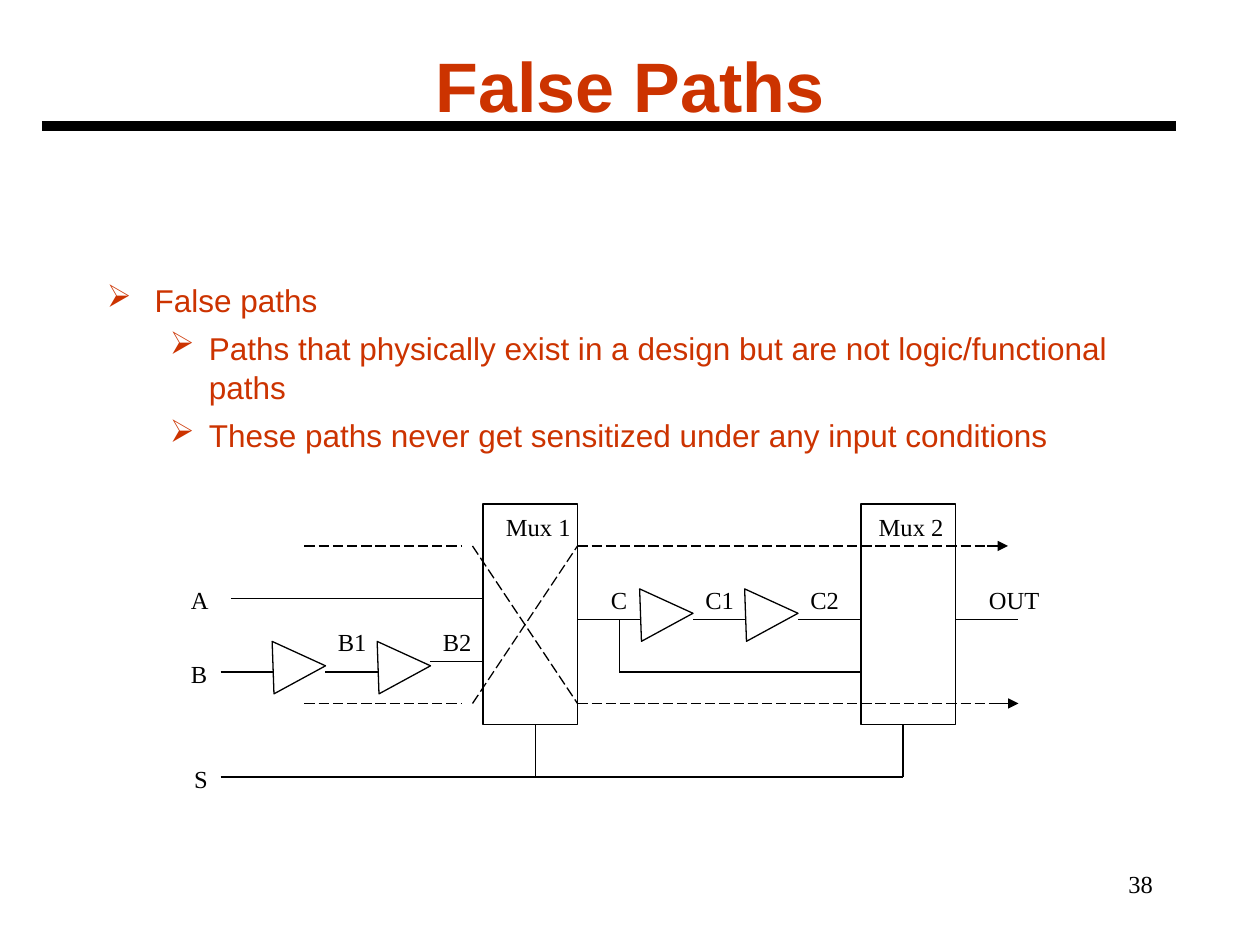
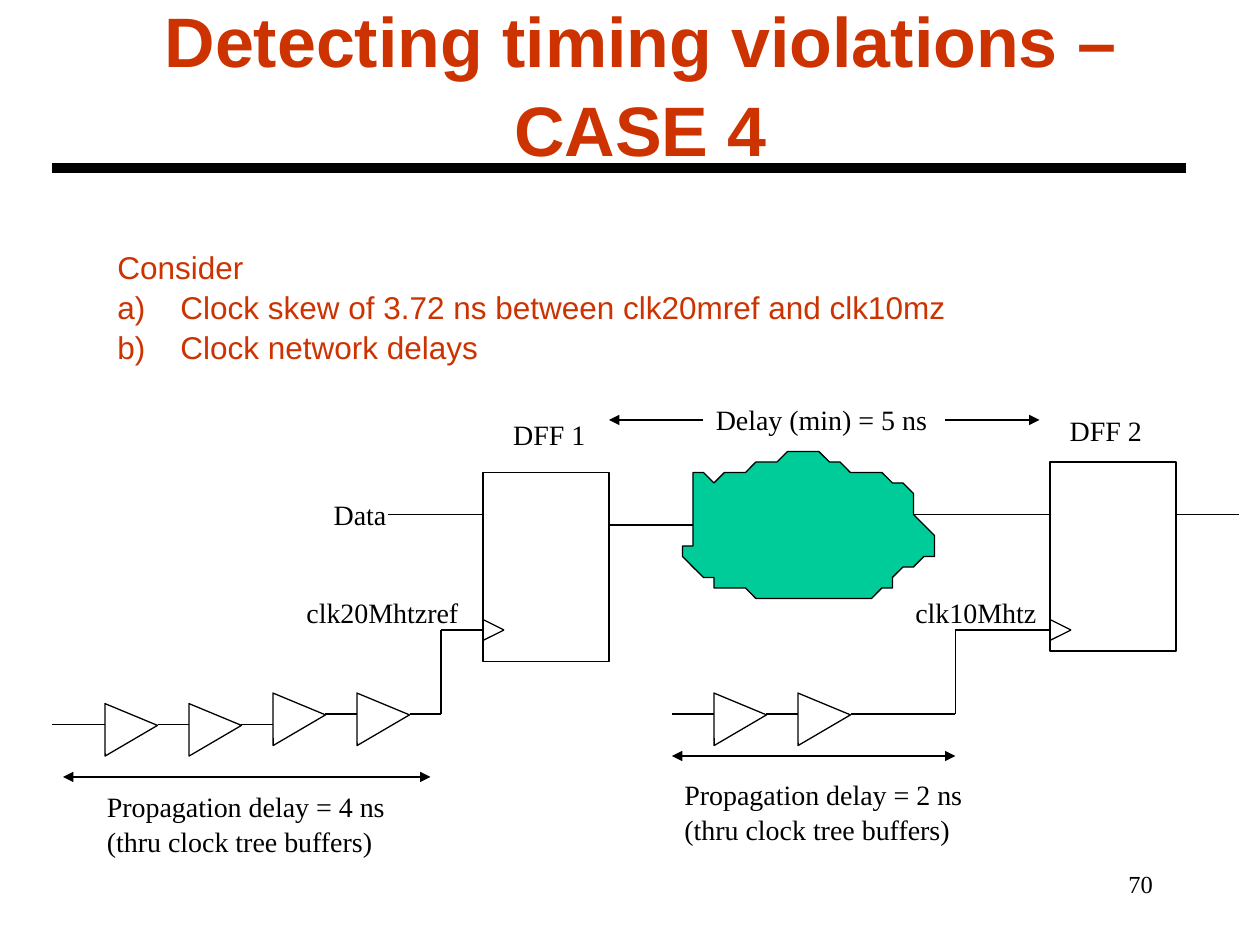
"""Build two timing-analysis slides: false paths and clock skew between flip-flops."""
from dataclasses import dataclass
from itertools import pairwise

from lxml.etree import SubElement
from pptx import Presentation
from pptx.dml.color import RGBColor
from pptx.enum.dml import MSO_LINE
from pptx.enum.shapes import MSO_CONNECTOR, MSO_SHAPE
from pptx.enum.text import MSO_ANCHOR, MSO_AUTO_SIZE, PP_ALIGN
from pptx.oxml.ns import qn
from pptx.util import Emu, Inches, Pt


@dataclass(frozen=True)
class Theme:
    """Colours, fonts and sizes shared by the slides."""
    accent: RGBColor = RGBColor.from_string("CC3300")
    ink: RGBColor = RGBColor.from_string("000000")
    cloud: RGBColor = RGBColor.from_string("00CC99")
    sans: str = "Arial"
    serif: str = "Times New Roman"
    title: int = 40
    body: int = 18
    number: int = 14
    thin: float = 0.75
    rule: float = 6
    leading: float = 1.05


THEME = Theme()
WIDTH, HEIGHT = Inches(10), Inches(7.5)
COLUMNS, ROWS = 120, 90
BUFFER = 5

ARROW, BOTH = {"tail": True}, {"head": True, "tail": True}
DASH = {"dash": MSO_LINE.LONG_DASH}
BULLET = {"tag": "a:buChar", "char": "➢"}
LETTER = {"tag": "a:buAutoNum", "type": "alphaLcParenR"}
CAPTION = "Propagation delay = {} ns\n(thru clock tree buffers)"

FALSE_PATHS = {
    "title": "False Paths", "number": "38", "shift": 0, "rule_row": 12,
    "body": {
        "at": (9, 26, 102, 54), "wrap": True, "space": 4.5,
        "indents": [(0.38, 0.38), (0.81, 0.31)],
        "items": [
            ("False paths", BULLET, 0),
            ("Paths that physically exist in a design but are not logic/functional paths",
             BULLET, 1),
            ("These paths never get sensitized under any input conditions", BULLET, 1),
        ],
    },
    "block_size": (9, 21), "blocks": [(46, 48), (82, 48)],
    "buffer": {"kind": MSO_SHAPE.FLOWCHART_EXTRACT, "turn": 88},
    "buffer_step": 10, "wire_drop": 3,
    "chains": [(55, 61, 82, 56), (21, 26, 41, 61)],
    "wires": [
        ([(59, 59), (59, 64), (82, 64)], {}),
        ([(41, 63), (46, 63)], {}),
        ([(21, 74), (86, 74), (86, 69)], {}),
        ([(51, 69), (51, 74)], {}),
        ([(22, 57), (46, 57)], {}),
        ([(91, 59), (97, 59)], {}),
        *[([(left, row), (right, row)], DASH)
          for row in (52, 67) for left, right in ((29, 44), (55, 95))],
        ([(45, 52), (55, 67)], DASH),
        ([(45, 67), (55, 52)], DASH),
        ([(94, 52), (96, 52)], ARROW),
        ([(95, 67), (97, 67)], ARROW),
    ],
    "label_size": 14, "label_row": 4,
    "labels": {
        48: {"Mux 1": 47, "Mux 2": 82.5},
        55: {"A": 17, "C": 57, "C1": 66, "C2": 76, "OUT": 93},
        59: {"B1": 31, "B2": 41},
        62: {"B": 17},
        72: {"S": 17.3},
    },
}

CASE_FOUR = {
    "title": "Detecting timing violations – CASE 4", "number": "70", "shift": 1, "rule_row": 16,
    "body": {
        "at": (10, 22.9, 81.2, 15.6), "wrap": False, "space": 0,
        "indents": [(0.5, 0.5)],
        "items": [
            ("Consider", None, 0),
            ("Clock skew of 3.72 ns between clk20mref and clk10mz", LETTER, 0),
            ("Clock network delays", LETTER, 0),
        ],
    },
    "block_size": (12, 18), "blocks": [(46, 45), (100, 44)],
    "buffer": {"kind": MSO_SHAPE.ISOSCELES_TRIANGLE, "turn": 89.8, "peak": 0.42},
    "buffer_step": 8, "wire_drop": 2,
    "chains": [(5, 10, 26, 67), (26, 26, 42, 66), (64, 68, 91, 66)],
    "wires": [
        *[([(left, 59), (left + 2, 60), (left, 61)], {}) for left in (46, 100)],
        *[([(left, 60), (drop, 60), (drop, 68)], {}) for left, drop in ((46, 42), (100, 91))],
        *[([(left, 49), (right, 49)], {}) for left, right in ((37, 46), (87, 100), (112, 118))],
        ([(58, 50), (66, 50)], {}),
        ([(90, 40), (99, 40)], ARROW),
        ([(67, 40), (58, 40)], ARROW),
        ([(6, 74), (41, 74)], BOTH),
        ([(64, 72), (91, 72)], BOTH),
    ],
    "label_size": 16, "label_row": 4.5,
    "labels": {
        56: {"clk10Mhtz": 86, "clk20Mhtzref": 28},
        38.6: {"DFF 2": 100.7},
        39: {"DFF 1": 47.7},
        46.6: {"Data": 30.6},
        37.6: {"Delay (min) = 5 ns": 67},
        73.3: {CAPTION.format(2): 64},
        74.4: {CAPTION.format(4): 9},
    },
    "cloud": [
        (66.2, 50), (65.6, 47), (66.3, 45), (68.3, 45.7), (71.6, 44.3), (76.3, 43.1),
        (79.7, 43.9), (81, 45), (85.3, 45.7), (87.4, 49.4), (89.2, 52.2), (86, 54),
        (83.8, 56.4), (78.2, 56.7), (73.1, 57.4), (71, 55.9), (68.4, 55.7), (65.3, 53),
    ],
}


def across(column):
    return Emu(round(WIDTH * column / COLUMNS))


def down(row):
    return Emu(round(HEIGHT * row / ROWS))


def place(left, top, width, height):
    return across(left), down(top), across(width), down(height)


def assign(target, values):
    for name, value in values.items():
        setattr(target, name, value)


def write(para, text, size, font=THEME.serif, color=THEME.ink, bold=False):
    para.line_spacing = THEME.leading
    span = para.add_run()
    span.text = text
    assign(span.font, {"size": Pt(size), "name": font, "bold": bold})
    span.font.color.rgb = color


def new_para(frame, index):
    return frame.add_paragraph() if index else frame.paragraphs[0]


def add_box(page, at, wrap):
    frame = page.shapes.add_textbox(*place(*at)).text_frame
    assign(frame, {"word_wrap": wrap, "auto_size": MSO_AUTO_SIZE.NONE,
                   "vertical_anchor": MSO_ANCHOR.TOP})
    return frame


def add_title(page, text, shift):
    title = page.shapes.title
    at = place(9 + shift, 0.3, 102, 15)
    assign(title, dict(zip(("left", "top", "width", "height"), at)))
    assign(title.text_frame, {"word_wrap": True, "auto_size": MSO_AUTO_SIZE.NONE,
                              "vertical_anchor": MSO_ANCHOR.MIDDLE})
    para = title.text_frame.paragraphs[0]
    para.alignment = PP_ALIGN.CENTER
    write(para, text, THEME.title, THEME.sans, THEME.accent, True)


def add_marker(properties, marker):
    color = SubElement(SubElement(properties, qn("a:buClr")), qn("a:srgbClr"))
    color.set("val", str(THEME.accent))
    element = SubElement(properties, qn(marker["tag"]))
    for name, value in marker.items():
        if name != "tag":
            element.set(name, value)


def add_body(page, body):
    frame = add_box(page, body["at"], body["wrap"])
    for index, (text, marker, level) in enumerate(body["items"]):
        para = new_para(frame, index)
        assign(para, {"level": level, "space_before": Pt(body["space"] if index else 0)})
        margin, hang = body["indents"][level]
        properties = para._p.get_or_add_pPr()
        properties.set("marL", str(Inches(margin)))
        properties.set("indent", str(-Inches(hang)))
        if marker:
            add_marker(properties, marker)
        write(para, text, THEME.body, THEME.sans, THEME.accent)


def text_columns(line, size):
    """Estimate the columns a serif line takes, with its side insets."""
    ems = sum(0.29 if sign in " ()ijltf" else 0.7 if sign.isupper() else 0.49 for sign in line)
    return (Pt(size) * ems + Inches(0.2)) / across(1)


def add_label(page, text, left, top, row, size):
    lines = text.split("\n")
    width = max(text_columns(line, size) for line in lines)
    frame = add_box(page, (left, top, width, row * len(lines)), False)
    for index, line in enumerate(lines):
        write(new_para(frame, index), line, size)


def add_wire(page, start, end, weight=THEME.thin, dash=None, head=False, tail=False):
    wire = page.shapes.add_connector(MSO_CONNECTOR.STRAIGHT, across(start[0]), down(start[1]),
                                     across(end[0]), down(end[1]))
    wire.line.color.rgb = THEME.ink
    assign(wire.line, {"width": Pt(weight), "dash_style": dash})
    for tag, wanted in (("a:headEnd", head), ("a:tailEnd", tail)):
        if wanted:
            SubElement(wire.line._get_or_add_ln(), qn(tag)).set("type", "triangle")
    SubElement(wire._element.spPr, qn("a:effectLst"))


def outline(shape, fill=None):
    shape.shadow.inherit = False
    if fill is None:
        shape.fill.background()
    else:
        shape.fill.solid()
        shape.fill.fore_color.rgb = fill
    shape.line.color.rgb = THEME.ink
    shape.line.width = Pt(THEME.thin)


def add_buffer(page, left, top, kind, turn, peak=None):
    shape = page.shapes.add_shape(kind, *place(left, top, BUFFER, BUFFER))
    shape.rotation = turn
    if peak is not None:
        shape.adjustments[0] = peak
    outline(shape)


def add_chain(page, chain, content):
    """Draw two buffers with the wires before, between and after them."""
    start, first, end, top = chain
    row = top + content["wire_drop"]
    for left in (first, first + content["buffer_step"]):
        add_buffer(page, left, top, **content["buffer"])
        if left > start:
            add_wire(page, (start, row), (left, row))
        start = left + BUFFER
    if end > start:
        add_wire(page, (start, row), (end, row))


def smooth(points, steps=4):
    """Yield points along a closed Catmull-Rom curve."""
    for index, near in enumerate(points):
        before, far, after = (points[(index + k) % len(points)] for k in (-1, 1, 2))
        for step in range(steps):
            t = step / steps
            yield tuple(b + t / 2 * (c - a + t * (2 * a - 5 * b + 4 * c - d
                                                 + t * (3 * b - a - 3 * c + d)))
                        for a, b, c, d in zip(before, near, far, after))


def add_cloud(page, points):
    start, *others = smooth(points)
    builder = page.shapes.build_freeform(*start, scale=across(1))
    builder.add_line_segments(others, close=True)
    outline(builder.convert_to_shape(), THEME.cloud)


def add_slide(deck, content):
    page = deck.slides.add_slide(deck.slide_layouts[5])
    add_title(page, content["title"], content["shift"])
    number = add_box(page, (86, 82, 25, 6), True).paragraphs[0]
    number.alignment = PP_ALIGN.RIGHT
    write(number, content["number"], THEME.number)
    add_body(page, content["body"])
    for corner in content["blocks"]:
        at = place(*corner, *content["block_size"])
        outline(page.shapes.add_shape(MSO_SHAPE.RECTANGLE, *at))
    if "cloud" in content:
        add_cloud(page, content["cloud"])
    for chain in content["chains"]:
        add_chain(page, chain, content)
    for points, style in content["wires"]:
        for start, end in pairwise(points):
            add_wire(page, start, end, **style)
    for top, labels in content["labels"].items():
        for text, left in labels.items():
            add_label(page, text, left, top, content["label_row"], content["label_size"])
    left, row = 4 + content["shift"], content["rule_row"]
    add_wire(page, (left, row), (left + 108, row), THEME.rule)


def main():
    deck = Presentation()
    assign(deck, {"slide_width": WIDTH, "slide_height": HEIGHT})
    for content in (FALSE_PATHS, CASE_FOUR):
        add_slide(deck, content)
    deck.save("out.pptx")


if __name__ == "__main__":
    main()
